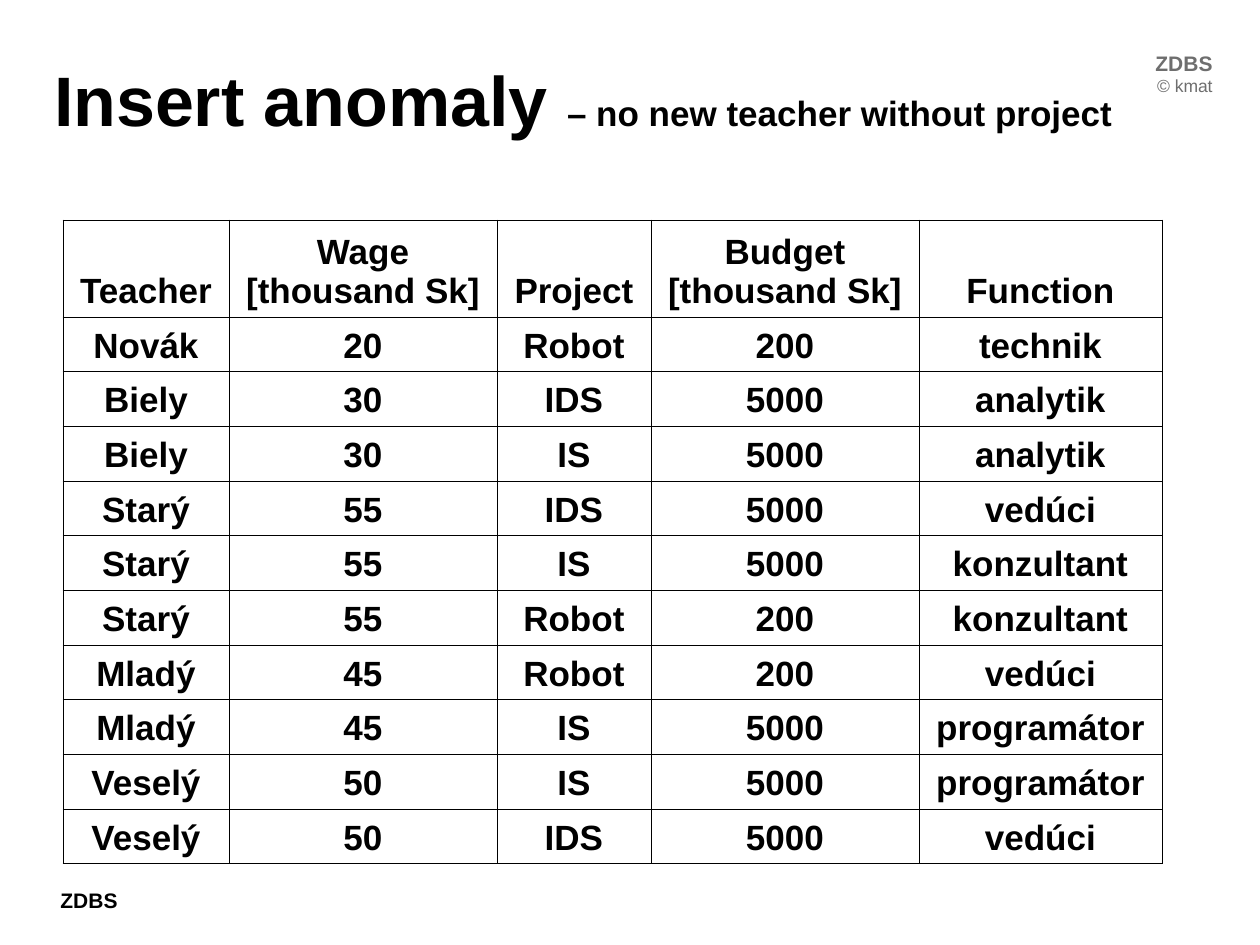
import dataclasses

import lxml.etree
import pptx
import pptx.dml.color
import pptx.enum.text
import pptx.oxml.ns
import pptx.util

ALIGN = pptx.enum.text.PP_ALIGN
ANCHOR = pptx.enum.text.MSO_ANCHOR


@dataclasses.dataclass(frozen=True)
class Theme:
    font: str = "Arial"
    ink: str = "000000"
    muted: str = "6E6E6E"
    title: int = 40
    body: int = 20
    label: int = 12
    small: int = 10
    border: float = 0.45


def px(n):
    return pptx.util.Emu(round(n * 914400 / 126))


class Deck:
    def __init__(self, theme, width, height):
        self.theme = theme
        self.prs = pptx.Presentation()
        self.prs.slide_width = px(width)
        self.prs.slide_height = px(height)
        self.s = self.prs.slides.add_slide(self.prs.slide_layouts[6])

    def style(self, font, size, color, bold=True):
        font.name = self.theme.font
        font.size = pptx.util.Pt(size)
        font.bold = bold
        font.color.rgb = pptx.dml.color.RGBColor.from_string(color)

    def text(self, box, lines, color, align=ALIGN.LEFT):
        sp = self.s.shapes.add_textbox(*map(px, box))
        tf = sp.text_frame
        tf.word_wrap = False
        for i, (text, size, bold) in enumerate(lines):
            p = tf.add_paragraph() if i else tf.paragraphs[0]
            p.text = text
            p.alignment = align
            self.style(p.font, size, color, bold)

    def title(self, box, heading, remark):
        sp = self.s.shapes.add_textbox(*map(px, box))
        tf = sp.text_frame
        tf.word_wrap = True
        tf.vertical_anchor = ANCHOR.MIDDLE
        tf.margin_left = tf.margin_right = 0
        p = tf.paragraphs[0]
        for text, size in ((heading, self.theme.title), (remark, self.theme.body)):
            r = p.add_run()
            r.text = text
            self.style(r.font, size, self.theme.ink)

    def borders(self, cell):
        tag = pptx.oxml.ns.qn
        tcPr = cell._tc.get_or_add_tcPr()
        for side in ("a:lnL", "a:lnR", "a:lnT", "a:lnB"):
            ln = lxml.etree.SubElement(tcPr, tag(side))
            ln.set("w", str(pptx.util.Pt(self.theme.border)))
            fill = lxml.etree.SubElement(ln, tag("a:solidFill"))
            lxml.etree.SubElement(fill, tag("a:srgbClr")).set("val", self.theme.ink)

    def table(self, left, top, widths, header_height, height, rows):
        frame = self.s.shapes.add_table(
            len(rows), len(widths), px(left), px(top), px(sum(widths)), px(height))
        table = frame.table
        table.first_row = table.horz_banding = False
        for column, width in zip(table.columns, widths):
            column.width = px(width)
        row_height = (height - header_height) / (len(rows) - 1)
        for i, values in enumerate(rows):
            table.rows[i].height = px(row_height if i else header_height)
            for cell, value in zip(table.rows[i].cells, values):
                cell.text = value
                cell.vertical_anchor = ANCHOR.BOTTOM
                self.borders(cell)
                cell.fill.background()
                for p in cell.text_frame.paragraphs:
                    p.alignment = ALIGN.CENTER
                    self.style(p.font, self.theme.body, self.theme.ink)


ROWS = [
    ("Teacher", "Wage\n[thousand Sk]", "Project", "Budget\n[thousand Sk]", "Function"),
    ("Novák", "20", "Robot", "200", "technik"),
    ("Biely", "30", "IDS", "5000", "analytik"),
    ("Biely", "30", "IS", "5000", "analytik"),
    ("Starý", "55", "IDS", "5000", "vedúci"),
    ("Starý", "55", "IS", "5000", "konzultant"),
    ("Starý", "55", "Robot", "200", "konzultant"),
    ("Mladý", "45", "Robot", "200", "vedúci"),
    ("Mladý", "45", "IS", "5000", "programátor"),
    ("Veselý", "50", "IS", "5000", "programátor"),
    ("Veselý", "50", "IDS", "5000", "vedúci"),
]


def main():
    theme = Theme()
    deck = Deck(theme, 1260, 945)
    deck.text((48, 881, 82, 63), [("ZDBS", theme.label, True)], theme.ink)
    deck.text((1143, 44, 82, 59),
              [("ZDBS", theme.label, True), ("© kmat", theme.small, False)],
              theme.muted, ALIGN.RIGHT)
    deck.title((54, 26, 1206, 144),
               "Insert anomaly ", "– no new teacher without project")
    deck.table(63, 220, (166, 268, 154, 268, 243), 97, 643, ROWS)
    deck.prs.save("out.pptx")


if __name__ == "__main__":
    main()
